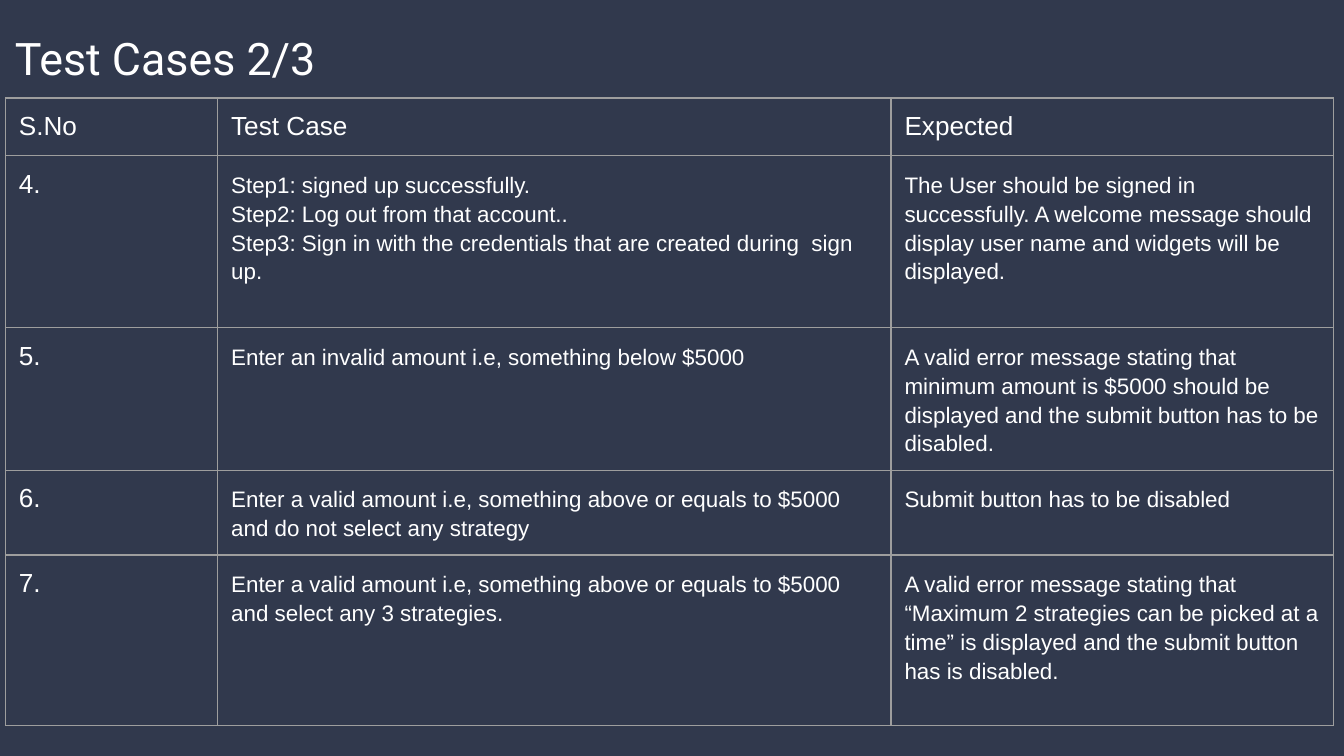
"""Build the second of three test case slides: a title above a bordered table."""
import pptx
import pptx.dml.color
import pptx.enum.text
import pptx.oxml.ns
import pptx.util
from lxml import etree

Inches = pptx.util.Inches
Pt = pptx.util.Pt
NAVY = pptx.dml.color.RGBColor(0x31, 0x39, 0x4D)
WHITE = pptx.dml.color.RGBColor(0xFF, 0xFF, 0xFF)
GREY = pptx.dml.color.RGBColor(0x9E, 0x9E, 0x9E)

TITLE = "Test Cases 2/3"
HEAD = ("S.No", "Test Case", "Expected")
CASES = [
    ("4.",
     ["Step1: signed up successfully.",
      "Step2: Log out from that account..",
      "Step3: Sign in with the credentials that are created during  sign up."],
     ["The User should be signed in successfully. A welcome message should "
      "display user name and widgets will be displayed."]),
    ("5.",
     ["Enter an invalid amount i.e, something below $5000"],
     ["A valid error message stating that minimum amount is $5000 should be "
      "displayed and the submit button has to be disabled."]),
    ("6.",
     ["Enter a valid amount i.e, something above or equals to $5000 "
      "and do not select any strategy"],
     ["Submit button has to be disabled"]),
    ("7.",
     ["Enter a valid amount i.e, something above or equals to $5000 "
      "and select any 3 strategies."],
     ["A valid error message stating that “Maximum 2 strategies can be picked "
      "at a time” is displayed and the submit button has is disabled."]),
]
WIDTHS = (1.58, 5.01, 3.29)
HEIGHTS = (0.43, 1.28, 1.06, 0.63, 1.27)
LEFT, TOP, INSET = 0.04, 0.73, Inches(0.1)


def write(frame, lines, size, font, space=None):
    for i, line in enumerate(lines):
        para = frame.paragraphs[0] if i == 0 else frame.add_paragraph()
        para.alignment = pptx.enum.text.PP_ALIGN.LEFT
        if space:
            para.line_spacing = space
        run = para.add_run()
        run.text = line
        run.font.size = Pt(size)
        run.font.name = font
        run.font.bold = False
        run.font.color.rgb = WHITE


def inset(box):
    box.margin_left = box.margin_right = INSET
    box.margin_top = box.margin_bottom = INSET
    box.vertical_anchor = pptx.enum.text.MSO_ANCHOR.TOP


def border(cell):
    props = cell._tc.get_or_add_tcPr()
    qn = pptx.oxml.ns.qn
    for side in ("lnL", "lnR", "lnT", "lnB"):
        line = etree.SubElement(props, qn("a:" + side), w=str(Pt(0.75)))
        fill = etree.SubElement(line, qn("a:solidFill"))
        etree.SubElement(fill, qn("a:srgbClr"), val=str(GREY))


def add_title(slide):
    title = slide.shapes.title
    title.left, title.top = Inches(0.01), Inches(0.07)
    title.width, title.height = Inches(5.04), Inches(0.52)
    frame = title.text_frame
    frame.word_wrap = True
    frame.auto_size = pptx.enum.text.MSO_AUTO_SIZE.NONE
    inset(frame)
    write(frame, [TITLE], 24, "Roboto", 1.15)
    frame.paragraphs[0].space_before = Pt(0)
    frame.paragraphs[0].space_after = Pt(12)


def add_cases(slide):
    rows = [HEAD] + CASES
    table = slide.shapes.add_table(
        len(rows), len(HEAD), Inches(LEFT), Inches(TOP),
        Inches(sum(WIDTHS)), Inches(sum(HEIGHTS))).table
    table.first_row = table.horz_banding = False
    for col, width in zip(table.columns, WIDTHS):
        col.width = Inches(width)
    for row, height in zip(table.rows, HEIGHTS):
        row.height = Inches(height)
    for r, row in enumerate(rows):
        for c, text in enumerate(row):
            cell = table.cell(r, c)
            inset(cell)
            border(cell)
            cell.fill.background()
            if isinstance(text, str):
                write(cell.text_frame, [text], 14, "Arial")
            else:
                write(cell.text_frame, text, 12, "Arial", 1.15)


def main():
    deck = pptx.Presentation()
    deck.slide_width = Inches(10)
    deck.slide_height = deck.slide_width * 9 // 16
    slide = deck.slides.add_slide(deck.slide_layouts[5])
    slide.background.fill.solid()
    slide.background.fill.fore_color.rgb = NAVY
    add_title(slide)
    add_cases(slide)
    deck.save("out.pptx")


if __name__ == "__main__":
    main()
